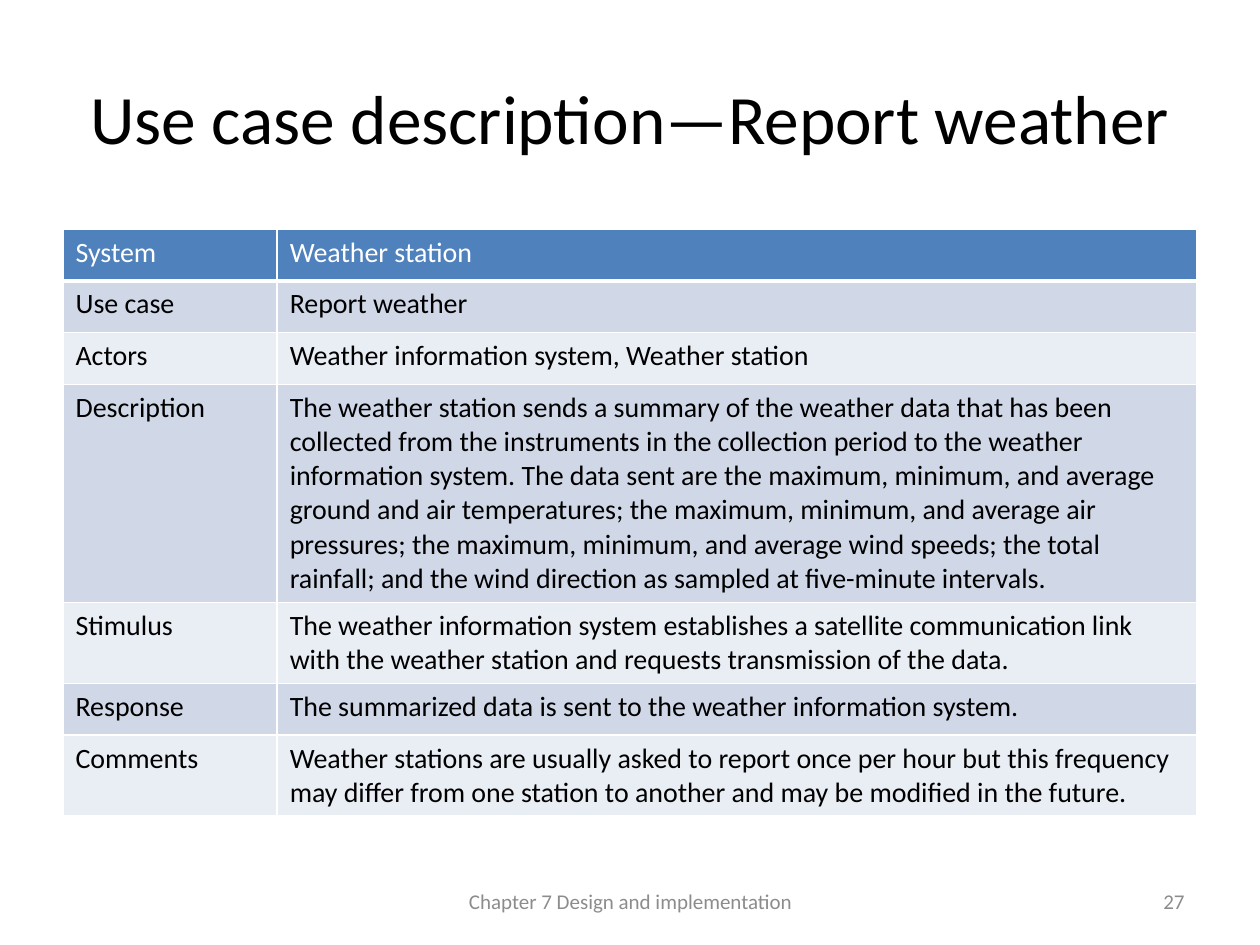
from lxml import etree
from pptx import Presentation
from pptx.dml.color import RGBColor
from pptx.enum.text import MSO_ANCHOR, MSO_AUTO_SIZE, PP_ALIGN
from pptx.oxml.ns import qn
from pptx.util import Inches, Pt

MIDDLE = MSO_ANCHOR.MIDDLE
NO_AUTOFIT = MSO_AUTO_SIZE.NONE
LEFT, CENTER, RIGHT = PP_ALIGN.LEFT, PP_ALIGN.CENTER, PP_ALIGN.RIGHT

FONT = "Calibri"
WHITE, BLACK, GRAY = "FFFFFF", "000000", "8C8C8C"
HEADER_FILL = "4F81BD"
BAND_FILLS = ("E9EDF4", "D0D8E8")
COLUMN_WIDTHS = (1.7, 7.3)
ROW_HEIGHT = 0.41

USE_CASE = (
    ("System", "Weather station"),
    ("Use case", "Report weather"),
    ("Actors", "Weather information system, Weather station"),
    ("Description",
     "The weather station sends a summary of the weather data that has been "
     "collected from the instruments in the collection period to the weather "
     "information system. The data sent are the maximum, minimum, and average "
     "ground and air temperatures; the maximum, minimum, and average air "
     "pressures; the maximum, minimum, and average wind speeds; the total "
     "rainfall; and the wind direction as sampled at five-minute intervals."),
    ("Stimulus",
     "The weather information system establishes a satellite communication link "
     "with the weather station and requests transmission of the data."),
    ("Response", "The summarized data is sent to the weather information system."),
    ("Comments",
     "Weather stations are usually asked to report once per hour but this frequency "
     "may differ from one station to another and may be modified in the future."),
)


def color(value):
    return RGBColor.from_string(value)


def write_text(text_frame, text, size, font_color, alignment):
    paragraph = text_frame.paragraphs[0]
    paragraph.alignment = alignment
    run = paragraph.add_run()
    run.text = text
    run.font.name = FONT
    run.font.size = Pt(size)
    run.font.bold = False
    run.font.color.rgb = color(font_color)


def set_title(slide, text):
    title = slide.shapes.title
    title.left, title.top = Inches(0.5), Inches(0.3)
    title.width, title.height = Inches(9), Inches(1.25)
    title.text_frame.auto_size = NO_AUTOFIT
    title.text_frame.vertical_anchor = MIDDLE
    write_text(title.text_frame, text, 39.6, BLACK, CENTER)


def add_footer(slide, left, width, text, alignment):
    box = slide.shapes.add_textbox(Inches(left), Inches(6.95), Inches(width), Inches(0.4))
    box.text_frame.word_wrap = True
    box.text_frame.vertical_anchor = MIDDLE
    write_text(box.text_frame, text, 12, GRAY, alignment)


def set_borders(cell, bottom_width):
    properties = cell._tc.get_or_add_tcPr()
    widths = {"a:lnL": 1, "a:lnR": 1, "a:lnT": 1, "a:lnB": bottom_width}
    for position, (tag, width) in enumerate(widths.items()):
        line = etree.Element(qn(tag), w=str(Pt(width)))
        fill = etree.SubElement(line, qn("a:solidFill"))
        etree.SubElement(fill, qn("a:srgbClr"), val=WHITE)
        properties.insert(position, line)


def add_use_case_table(slide):
    frame = slide.shapes.add_table(
        len(USE_CASE), len(COLUMN_WIDTHS), Inches(0.5), Inches(1.82),
        Inches(sum(COLUMN_WIDTHS)), Inches(ROW_HEIGHT * len(USE_CASE)))
    table = frame.table
    for column, width in zip(table.columns, COLUMN_WIDTHS):
        column.width = Inches(width)
    for row_index, texts in enumerate(USE_CASE):
        is_header = row_index == 0
        table.rows[row_index].height = Inches(ROW_HEIGHT)
        for column_index, text in enumerate(texts):
            cell = table.cell(row_index, column_index)
            cell.fill.solid()
            cell.fill.fore_color.rgb = color(
                HEADER_FILL if is_header else BAND_FILLS[row_index % 2])
            set_borders(cell, 3 if is_header else 1)
            write_text(cell.text_frame, text, 16, WHITE if is_header else BLACK, LEFT)


def main():
    presentation = Presentation()
    presentation.slide_width = Inches(10)
    presentation.slide_height = Inches(7.5)
    slide = presentation.slides.add_slide(presentation.slide_layouts[5])
    set_title(slide, "Use case description—Report weather")
    add_use_case_table(slide)
    add_footer(slide, 7.17, 2.33, "27", RIGHT)
    add_footer(slide, 3.42, 3.17, "Chapter 7 Design and implementation", CENTER)
    presentation.save("out.pptx")


if __name__ == "__main__":
    main()
